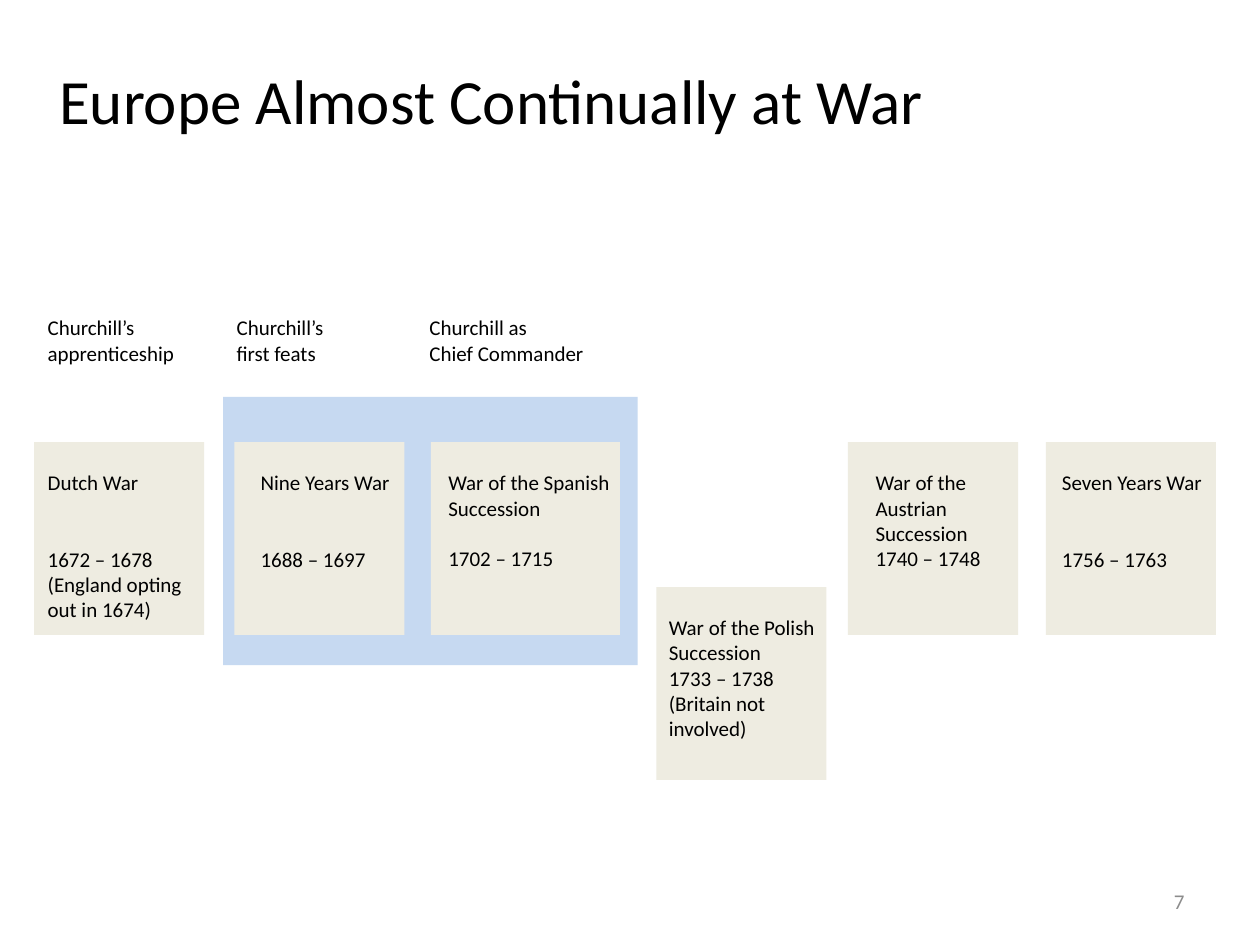
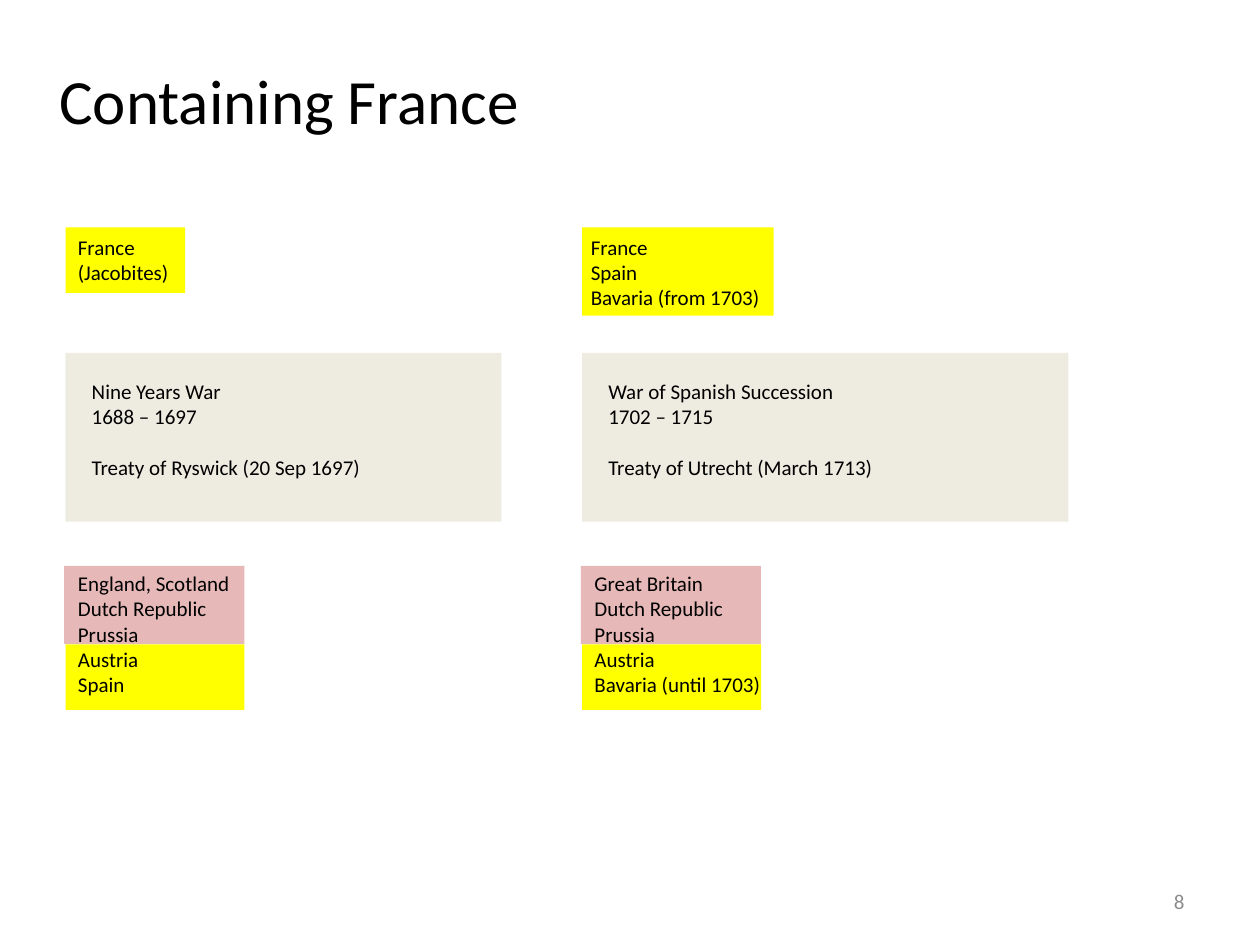
from dataclasses import dataclass
from typing import NamedTuple

from pptx import Presentation
from pptx.dml.color import RGBColor
from pptx.enum.shapes import MSO_SHAPE
from pptx.enum.text import MSO_ANCHOR, MSO_AUTO_SIZE, PP_ALIGN
from pptx.util import Inches, Pt

RECT = MSO_SHAPE.RECTANGLE
TOP, MIDDLE = MSO_ANCHOR.TOP, MSO_ANCHOR.MIDDLE
LEFT, RIGHT = PP_ALIGN.LEFT, PP_ALIGN.RIGHT
GROW, FIXED = MSO_AUTO_SIZE.SHAPE_TO_FIT_TEXT, MSO_AUTO_SIZE.NONE

SLIDE_W, SLIDE_H = Inches(10), Inches(7.5)
COLUMNS, ROWS = 100, 75
FONT = "Calibri"
BODY_PT, TITLE_PT, LINE_PT = 12, 36, 14.65
LINE_ROWS, INSET_ROWS = 2.03, 1.0
BLACK, GREY = "000000", "8C8C8C"
CARD, SPAN, PINK, YELLOW = "EEECE1", "C6D9F1", "E6B9B8", "FFFF00"


class Box(NamedTuple):
    """Left, top, width and height in grid columns and rows."""
    x: float
    y: float
    w: float
    h: float


class Para(NamedTuple):
    """A paragraph and the number of empty lines kept above it."""
    text: str
    gap: int = 0


@dataclass
class War:
    x: float
    text_x: float
    text_w: float
    paras: list[Para]
    y: float = 35.1
    w: float = 13.5
    wrap: bool = False


@dataclass
class Label:
    x: float
    w: float
    paras: list[Para]


@dataclass
class Campaign:
    """One column of the coalition slide."""
    x: float
    foe_w: float
    foe_h: float
    foe_text_x: float
    foe_text_w: float
    foes: list[Para]
    war_w: float
    war_text_w: float
    war: list[Para]
    ally_text_w: float
    allies: list[Para]


WARS = [
    War(18.6, 19.7, 12.4, [Para("Nine Years War"), Para("1688 – 1697", 2)]),
    War(34.2, 34.6, 15.3, [Para("War of the Spanish"), Para("Succession"),
                           Para("1702 – 1715", 1)], w=15),
    War(2.7, 2.8, 13.1, [Para("Dutch War"), Para("1672 – 1678", 2),
                         Para("(England opting\nout in 1674)")]),
    War(67.3, 68.5, 10.5, [Para("War of the\nAustrian\nSuccession"), Para("1740 – 1748")]),
    War(52.1, 52.1, 14.6, [Para("War of the Polish"), Para("Succession"),
                           Para("1733 – 1738"), Para("(Britain not involved)")],
        y=46.6, wrap=True),
    War(83, 83.3, 13.2, [Para("Seven Years War"), Para("1756 – 1763", 2)]),
]
CAREER = [
    Label(2.8, 12.1, [Para("Churchill’s"), Para("apprenticeship")]),
    Label(17.8, 9, [Para("Churchill’s\nfirst feats")]),
    Label(33.1, 14.4, [Para("Churchill as\nChief Commander")]),
]
CAMPAIGNS = [
    Campaign(5.2, 9.5, 5.2, 5.2, 9.3, [Para("France"), Para("(Jacobites)")],
             34.6, 24, [Para("Nine Years War"), Para("1688 – 1697"),
                        Para("Treaty of Ryswick (20 Sep 1697)", 1)],
             14.1, [Para("England, Scotland"), Para("Dutch Republic"),
                    Para("Prussia"), Para("Austria"), Para("Spain")]),
    Campaign(46.2, 15.2, 7, 45.9, 15.5,
             [Para("France"), Para("Spain"), Para("Bavaria (from 1703)")],
             38.6, 23.6, [Para("War of Spanish Succession"), Para("1702 – 1715"),
                          Para("Treaty of Utrecht (March 1713)", 1)],
             15.3, [Para("Great Britain"), Para("Dutch Republic"),
                    Para("Prussia"), Para("Austria"), Para("Bavaria (until 1703)")]),
]


def rgb(value: str) -> RGBColor:
    return RGBColor.from_string(value)


def on_grid(box: Box) -> tuple[int, int, int, int]:
    """Turn grid cells into slide lengths."""
    cw, rh = SLIDE_W / COLUMNS, SLIDE_H / ROWS
    return round(box.x * cw), round(box.y * rh), round(box.w * cw), round(box.h * rh)


def write(tf, paras: list[Para], size: float = BODY_PT, colour: str = BLACK,
          align=LEFT) -> None:
    for i, para in enumerate(paras):
        p = tf.paragraphs[0] if i == 0 else tf.add_paragraph()
        p.alignment = align
        if para.gap:
            p.space_before = Pt(para.gap * LINE_PT)
        for j, line in enumerate(para.text.split("\n")):
            if j:
                p.add_line_break()
            r = p.add_run()
            r.text = line
            r.font.name, r.font.size = FONT, Pt(size)
            r.font.color.rgb = rgb(colour)


def add_rect(slide, box: Box, colour: str) -> None:
    sp = slide.shapes.add_shape(RECT, *on_grid(box))
    sp.shadow.inherit = False
    sp.fill.solid()
    sp.fill.fore_color.rgb = rgb(colour)
    sp.line.fill.background()


def add_text(slide, x: float, y: float, w: float, paras: list[Para],
             wrap: bool = False) -> None:
    """Add a text box as tall as its lines."""
    lines = sum(para.gap + 1 + para.text.count("\n") for para in paras)
    sp = slide.shapes.add_textbox(*on_grid(Box(x, y, w, lines * LINE_ROWS + INSET_ROWS)))
    tf = sp.text_frame
    tf.word_wrap, tf.auto_size = wrap, GROW
    write(tf, paras)


def add_page(prs, title: str, title_w: float, number: int):
    """Add a slide with its title and page number."""
    slide = prs.slides.add_slide(prs.slide_layouts[5])
    sp = slide.shapes.title
    sp.left, sp.top, sp.width, sp.height = on_grid(Box(3.7, 4.4, title_w, 7.1))
    tf = sp.text_frame
    tf.word_wrap, tf.auto_size, tf.vertical_anchor = False, GROW, TOP
    write(tf, [Para(title)], TITLE_PT)

    tf = slide.shapes.add_textbox(*on_grid(Box(71.7, 69.5, 23.3, 4))).text_frame
    tf.word_wrap, tf.auto_size, tf.vertical_anchor = True, FIXED, MIDDLE
    write(tf, [Para(str(number))], colour=GREY, align=RIGHT)
    return slide


def build_wars(prs) -> None:
    slide = add_page(prs, "Europe Almost Continually at War", 71.2, 7)
    add_rect(slide, Box(17.7, 31.5, 32.9, 21.3), SPAN)
    for war in WARS:
        add_rect(slide, Box(war.x, war.y, war.w, 15.3), CARD)
        add_text(slide, war.text_x, war.y + 1.7, war.text_w, war.paras, war.wrap)
    for label in CAREER:
        add_text(slide, label.x, 24.5, label.w, label.paras)


def build_coalitions(prs) -> None:
    slide = add_page(prs, "Containing France", 38.8, 8)
    for c in CAMPAIGNS:
        add_rect(slide, Box(c.x, 18.05, c.foe_w, c.foe_h), YELLOW)
        add_text(slide, c.foe_text_x, 18.1, c.foe_text_w, c.foes)
        add_rect(slide, Box(c.x, 28, c.war_w, 13.4), CARD)
        add_text(slide, c.x + 1.1, 29.55, c.war_text_w, c.war)
        add_rect(slide, Box(c.x - 0.1, 44.9, 14.3, 6.2), PINK)
        add_rect(slide, Box(c.x, 51.15, 14.2, 5.2), YELLOW)
        add_text(slide, c.x, 44.8, c.ally_text_w, c.allies)


def main() -> None:
    prs = Presentation()
    prs.slide_width, prs.slide_height = SLIDE_W, SLIDE_H
    build_wars(prs)
    build_coalitions(prs)
    prs.save("out.pptx")


if __name__ == "__main__":
    main()
